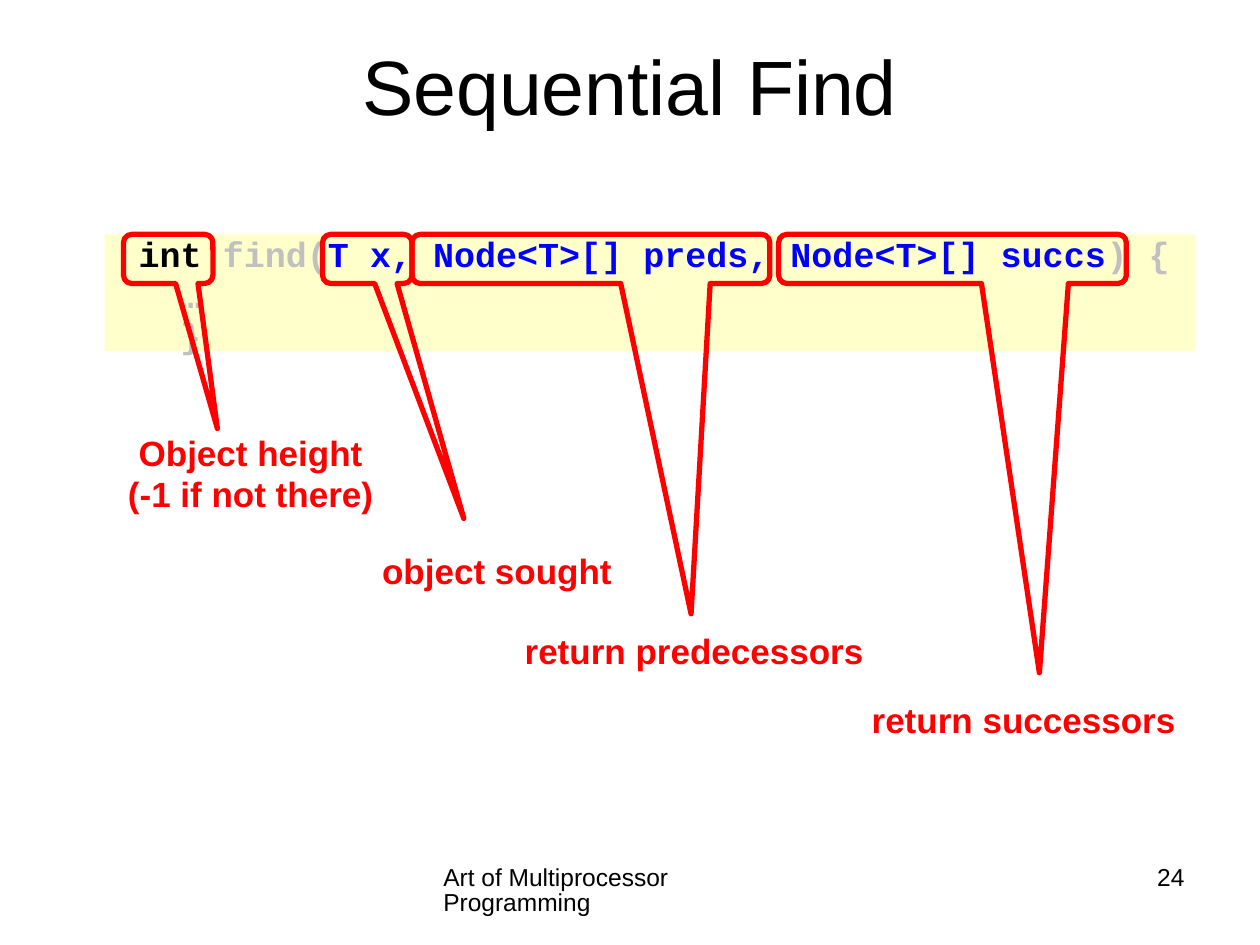
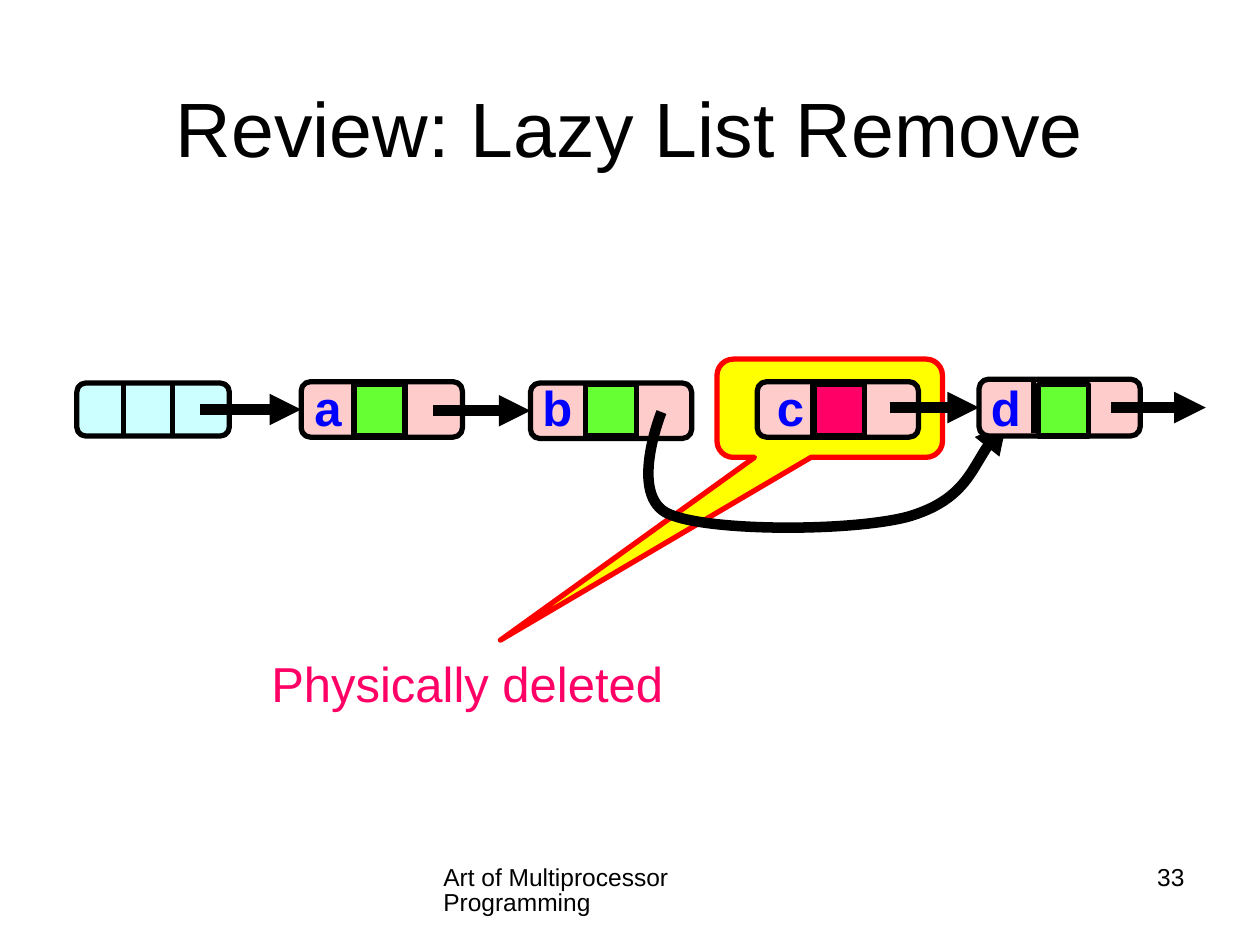
from lxml.etree import SubElement
from pptx import Presentation
from pptx.dml.color import RGBColor
from pptx.enum.shapes import MSO_CONNECTOR, MSO_SHAPE
from pptx.enum.text import MSO_ANCHOR, MSO_AUTO_SIZE, PP_ALIGN
from pptx.oxml.ns import qn
from pptx.util import Inches, Pt

BLACK, BLUE, GRAY, RED = "000000", "0000FF", "C0C0C0", "FF0000"
YELLOW, CREAM, CYAN, ROSE = "FFFF00", "FFFFCC", "CCFFFF", "FFCCCC"
GREEN, PINK = "66FF33", "FF0066"


def write(shape, paragraphs, size, color=BLACK, font="Arial", bold=False,
          align=PP_ALIGN.LEFT, spacing=1.0, before=0, wrap=True,
          anchor=MSO_ANCHOR.TOP):
    """Fill a shape with paragraphs, each a list of (text, color) runs or a string."""
    frame = shape.text_frame
    frame.word_wrap = wrap
    frame.auto_size = MSO_AUTO_SIZE.NONE
    frame.vertical_anchor = anchor
    for number, runs in enumerate(paragraphs):
        paragraph = frame.add_paragraph() if number else frame.paragraphs[0]
        paragraph.alignment = align
        paragraph.line_spacing = spacing
        paragraph.space_before = Pt(before)
        if isinstance(runs, str):
            runs = [(runs, color)]
        for text, run_color in runs:
            run = paragraph.add_run()
            run.text = text
            run.font.name = font
            run.font.size = Pt(size)
            run.font.bold = bold
            run.font.color.rgb = RGBColor.from_string(run_color)


def paint(shape, fill=None, line=None, width=3, arrow=False):
    """Set fill, outline and arrowhead of a shape or connector, without shadow."""
    if fill:
        shape.fill.solid()
        shape.fill.fore_color.rgb = RGBColor.from_string(fill)
    elif hasattr(shape, "fill"):
        shape.fill.background()
    if line:
        shape.line.color.rgb = RGBColor.from_string(line)
        shape.line.width = Pt(width)
    else:
        shape.line.fill.background()
    properties = shape._element.spPr
    if arrow:
        SubElement(properties.find(qn("a:ln")), qn("a:tailEnd"), type="triangle")
    SubElement(properties, qn("a:effectLst"))


presentation = Presentation()
presentation.slide_width, presentation.slide_height = Inches(10), Inches(7.5)

# Titles and footers
slides = []
for layout, title, title_top, page in (
    (1, "Sequential Find", 0.05, "24"),
    (5, "Review: Lazy List Remove", 0.38, "33"),
):
    slide = presentation.slides.add_slide(presentation.slide_layouts[layout])
    slides.append(slide)
    heading = slide.shapes.title
    heading.left, heading.top = Inches(0.75), Inches(title_top)
    heading.width, heading.height = Inches(8.5), Inches(1.25)
    write(heading, [title], 44, align=PP_ALIGN.CENTER, anchor=MSO_ANCHOR.MIDDLE)
    for text, left, width, align in (
        ("Art of Multiprocessor Programming", 3.42, 3.17, PP_ALIGN.LEFT),
        (page, 7.17, 2.33, PP_ALIGN.RIGHT),
    ):
        footer = slide.shapes.add_textbox(
            Inches(left), Inches(6.83), Inches(width), Inches(0.52))
        write(footer, [text], 14, align=align, spacing=0.85)

find_slide, list_slide = slides

# Sequential Find: method signature
code = find_slide.placeholders[1]
code.left, code.top = Inches(0.83), Inches(1.86)
code.width, code.height = Inches(8.66), Inches(0.93)
signature = [("int", BLACK), (" find(", GRAY),
             ("T x, Node<T>[] preds, Node<T>[] succs", BLUE), (") {", GRAY)]
write(code, [signature, "…", "}"], 20, color=GRAY, font="Courier New",
      bold=True, spacing=0.8, before=4)
paint(code, fill=CREAM)
for paragraph, indent in zip(code.text_frame.paragraphs, (0.17, 0.5, 0.5)):
    paragraph_format = paragraph._p.get_or_add_pPr()
    paragraph_format.set("marL", str(Inches(indent)))
    paragraph_format.set("indent", "0")
    SubElement(paragraph_format, qn("a:buNone"))

# Sequential Find: a callout and a label for each part of the signature
for left, width, tip, label, label_box in (
    (2.56, 0.71, (1.08, 5.28), ["object sought"], (2.93, 4.38, 2.03, 0.37)),
    (3.27, 2.84, (0.28, 7.22), ["return predecessors"], (4.06, 5.01, 2.9, 0.37)),
    (0.98, 0.71, (0.55, 3.45), ["Object height", "(-1 if not there)"],
     (0.91, 3.44, 2.16, 0.71)),
    (6.18, 2.76, (0.25, 8.42), ["return successors"], (6.81, 5.56, 2.63, 0.37)),
):
    callout = find_slide.shapes.add_shape(
        MSO_SHAPE.ROUNDED_RECTANGULAR_CALLOUT,
        Inches(left), Inches(1.86), Inches(width), Inches(0.39))
    callout.adjustments[0], callout.adjustments[1] = tip
    paint(callout, line=RED)
    label_text = find_slide.shapes.add_textbox(*map(Inches, label_box))
    write(label_text, label, 20, color=RED, bold=True, align=PP_ALIGN.CENTER,
          spacing=0.8, before=4, wrap=False)

# Lazy list: callout around the removed node
shapes = list_slide.shapes
removed = shapes.add_shape(MSO_SHAPE.ROUNDED_RECTANGULAR_CALLOUT,
                           Inches(5.69), Inches(2.85), Inches(1.79), Inches(0.78))
removed.adjustments[0], removed.adjustments[1] = -1.46, 2.36
paint(removed, fill=YELLOW, line=RED)
removed_label = shapes.add_textbox(
    Inches(1.91), Inches(5.14), Inches(3.45), Inches(0.57))
write(removed_label, ["Physically deleted"], 28, color=PINK,
      align=PP_ALIGN.RIGHT, wrap=False)

# Lazy list: nodes, each with two dividers, a mark, a key and a pointer
bypass_start = (Inches(5.25), Inches(3.27))
bypass_points = [(Inches(x), Inches(y)) for x, y in (
    (5.25, 3.27), (4.98, 3.94), (5.31, 4.08),
    (5.63, 4.22), (6.76, 4.22), (7.21, 4.1),
    (7.65, 3.97), (7.82, 3.5), (7.99, 3.35))]
pointer = None
for key, left, top, width, height, fill, dividers, mark_left, mark, key_left in (
    ("", 0.61, 3.04, 1.21, 0.42, CYAN, (0.98, 1.37), 0, None, 0),
    ("a", 2.39, 3.03, 1.28, 0.44, ROSE, (2.83, 3.22), 2.81, GREEN, 2.39),
    ("b", 4.21, 3.04, 1.28, 0.44, ROSE, (4.65, 5.04), 4.65, GREEN, 4.22),
    ("c", 6.01, 3.03, 1.28, 0.44, ROSE, (6.45, 6.84), 6.46, PINK, 6.06),
    ("d", 7.77, 3.01, 1.28, 0.45, ROSE, (8.2, 8.59), 8.24, GREEN, 7.78),
):
    node = shapes.add_shape(MSO_SHAPE.ROUNDED_RECTANGLE, Inches(left), Inches(top),
                            Inches(width), Inches(height))
    paint(node, fill=fill, line=BLACK)
    if pointer:
        pointer.end_connect(node, 1)
        pointer.begin_y = pointer.end_y
    for x in dividers:
        divider = shapes.add_connector(MSO_CONNECTOR.STRAIGHT, Inches(x),
                                       Inches(top + 0.01), Inches(x),
                                       Inches(top + 0.43))
        paint(divider, line=BLACK)
    if mark:
        mark_box = shapes.add_shape(MSO_SHAPE.RECTANGLE, Inches(mark_left),
                                    Inches(3.05), Inches(0.4), Inches(0.41))
        paint(mark_box, fill=mark, line=BLACK)
        key_text = shapes.add_textbox(Inches(key_left), Inches(2.95),
                                      Inches(0.42), Inches(0.57))
        write(key_text, [key], 28, color=BLUE, bold=True,
              align=PP_ALIGN.RIGHT, wrap=False)
    if key == "b":
        builder = shapes.build_freeform(*bypass_start)
        builder.add_line_segments(bypass_points, close=False)
        curve = builder.convert_to_shape()
        # Regroup the control points, three to a Bézier segment
        outline = curve._element.find(".//" + qn("a:path"))
        points = list(outline.iter(qn("a:pt")))
        for segment in list(outline)[1:]:
            outline.remove(segment)
        for first in (1, 4, 7):
            bezier = SubElement(outline, qn("a:cubicBezTo"))
            bezier.extend(points[first:first + 3])
        paint(curve, line=BLACK, width=6, arrow=True)
        pointer = None
    else:
        start_x, middle = left + width - 0.23, top + height / 2
        pointer = shapes.add_connector(MSO_CONNECTOR.STRAIGHT, Inches(start_x),
                                       Inches(middle), Inches(start_x + 0.75),
                                       Inches(middle))
        paint(pointer, line=BLACK, width=6, arrow=True)

presentation.save("out.pptx")
